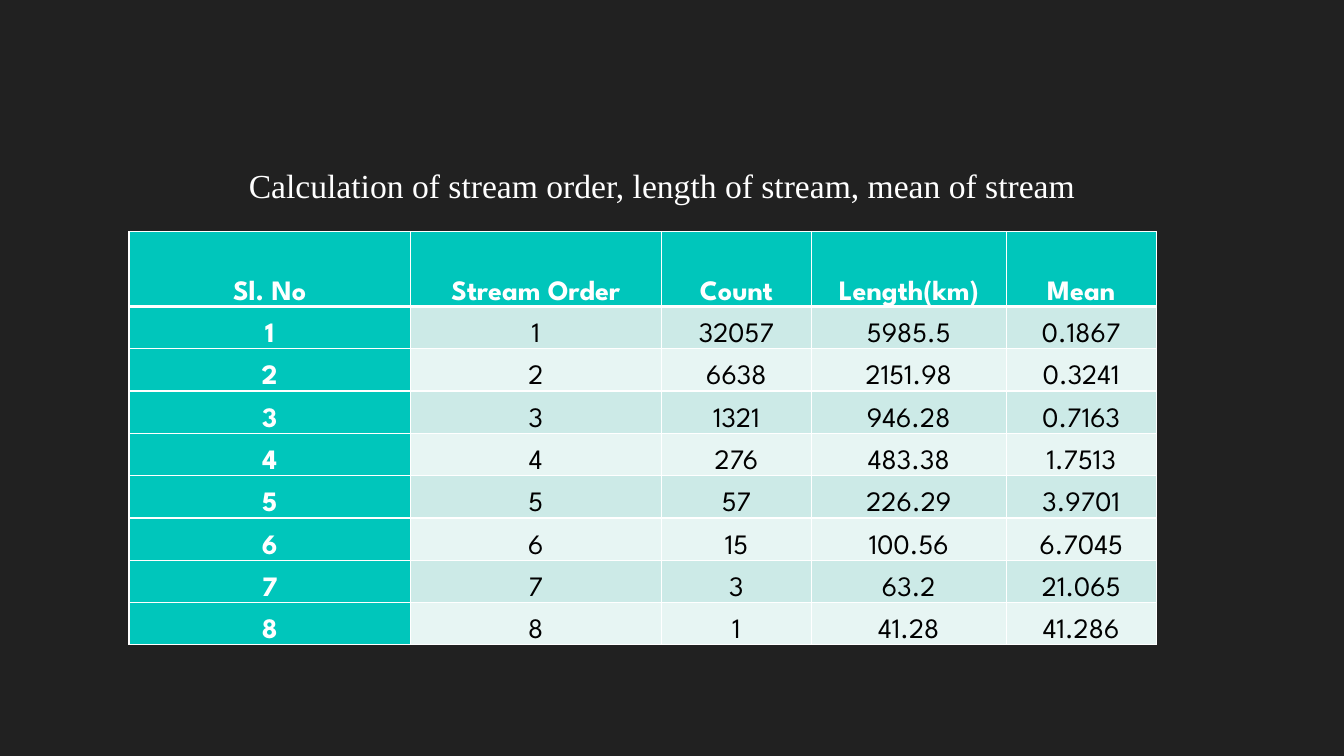
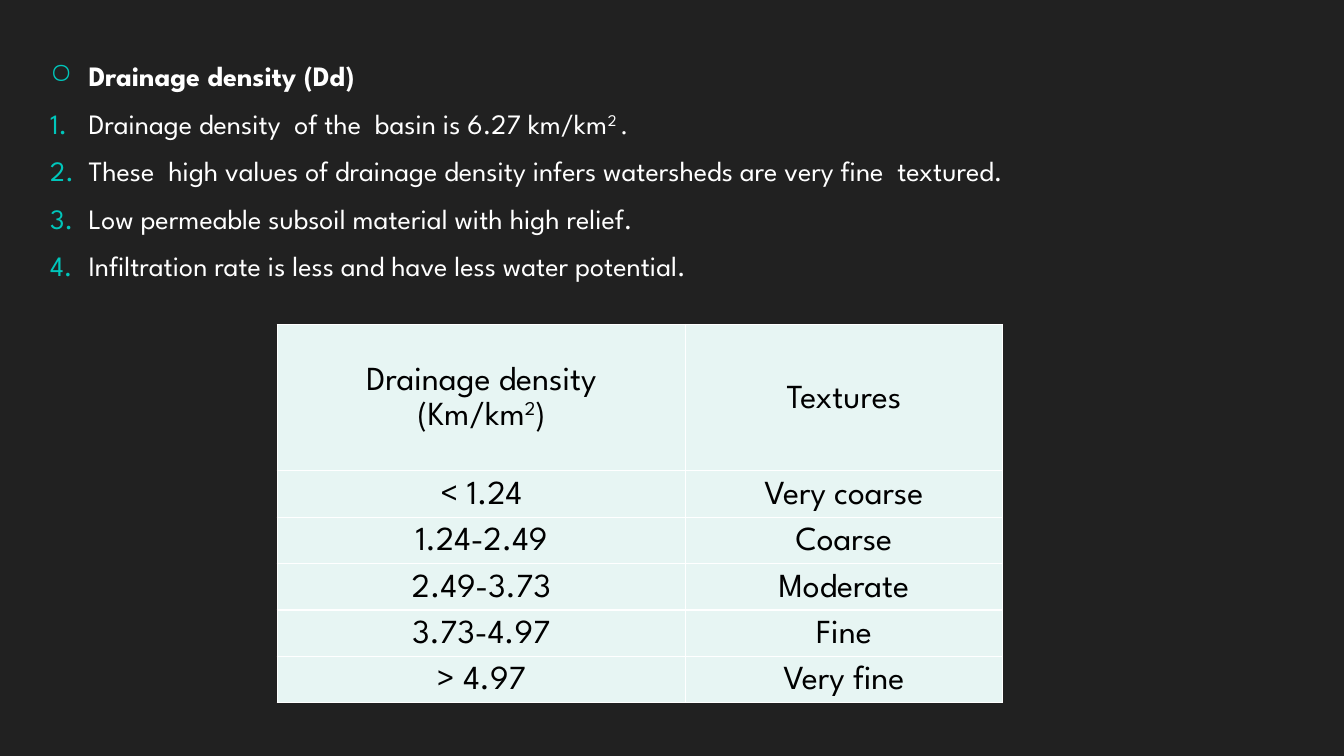
from dataclasses import dataclass
from typing import NamedTuple

from lxml import etree
from pptx import Presentation
from pptx.dml.color import RGBColor
from pptx.enum.text import MSO_ANCHOR, MSO_AUTO_SIZE, PP_ALIGN
from pptx.oxml.ns import qn
from pptx.util import Inches, Pt

CENTER = PP_ALIGN.CENTER
BOTTOM, MIDDLE = MSO_ANCHOR.BOTTOM, MSO_ANCHOR.MIDDLE
FIT_TEXT = MSO_AUTO_SIZE.SHAPE_TO_FIT_TEXT

# Shared look
DARK, TEAL, WHITE, BLACK = "212121", "00C6BB", "FFFFFF", "000000"
BAND, PALE = "CCEAE7", "E7F5F3"
SANS, SERIF = "League Spartan", "Times New Roman"
CELL_MARGINS = {
    "margin_left": Inches(0.07), "margin_right": Inches(0.07),
    "margin_top": 0, "margin_bottom": 0,
}
BLANK_LAYOUT = 6


class Piece(NamedTuple):
    """A stretch of text; raised is the superscript shift in percent."""
    text: str
    raised: int = 0
    font: str = ""


@dataclass(frozen=True)
class TextStyle:
    size: float
    color: str
    font: str = SANS
    bold: bool = False


@dataclass(frozen=True)
class CellStyle:
    text: TextStyle
    fill: str
    anchor: MSO_ANCHOR
    line_spacing: float = 1.0
    top: float = 1
    bottom: float = 1


@dataclass(frozen=True)
class Grid:
    left: float
    top: float
    columns: tuple[float, ...]
    header_height: float
    row_height: float


class Point(NamedTuple):
    pieces: list[Piece]
    bold: bool = False
    numbered: bool = True


def rgb(color: str) -> RGBColor:
    return RGBColor.from_string(color)


def write(paragraph, pieces: list[Piece], style: TextStyle) -> None:
    for piece in pieces:
        run = paragraph.add_run()
        run.text = piece.text
        formats = {"size": Pt(style.size), "bold": style.bold, "name": piece.font or style.font}
        for name, value in formats.items():
            setattr(run.font, name, value)
        run.font.color.rgb = rgb(style.color)
        if piece.raised:
            run.font._element.set("baseline", str(piece.raised * 1000))


def add_color(parent, tag: str, color: str) -> None:
    holder = etree.SubElement(parent, qn(tag))
    etree.SubElement(holder, qn("a:srgbClr"), val=color)


def add_bullet(paragraph, numbered: bool) -> None:
    properties = paragraph._p.get_or_add_pPr()
    indent = Inches(0.38)
    properties.set("marL", str(indent))
    properties.set("indent", str(-indent))
    add_color(properties, "a:buClr", TEAL)
    if numbered:
        etree.SubElement(properties, qn("a:buAutoNum"), type="arabicPeriod")
    else:
        etree.SubElement(properties, qn("a:buChar"), char="○")


def add_borders(cell, style: CellStyle) -> None:
    properties = cell._tc.get_or_add_tcPr()
    widths = {"a:lnL": 1, "a:lnR": 1, "a:lnT": style.top, "a:lnB": style.bottom}
    for tag, width in widths.items():
        line = etree.SubElement(properties, qn(tag), w=str(Pt(width)))
        add_color(line, "a:solidFill", WHITE)


def fill_cell(cell, lines: list[list[Piece]], style: CellStyle) -> None:
    for name, value in CELL_MARGINS.items():
        setattr(cell, name, value)
    cell.vertical_anchor = style.anchor
    add_borders(cell, style)
    cell.fill.solid()
    cell.fill.fore_color.rgb = rgb(style.fill)
    frame = cell.text_frame
    for index, pieces in enumerate(lines):
        paragraph = frame.add_paragraph() if index else frame.paragraphs[0]
        paragraph.alignment = CENTER
        paragraph.line_spacing = style.line_spacing
        write(paragraph, pieces, style.text)


def add_grid(slide, grid: Grid, row_count: int):
    height = grid.header_height + grid.row_height * (row_count - 1)
    table = slide.shapes.add_table(
        row_count, len(grid.columns), Inches(grid.left), Inches(grid.top),
        Inches(sum(grid.columns)), Inches(height)).table
    table.first_row = table.horz_banding = False
    for column, width in zip(table.columns, grid.columns):
        column.width = Inches(width)
    for index, row in enumerate(table.rows):
        row.height = Inches(grid.row_height if index else grid.header_height)
    return table


def add_text_frame(slide, left: float, top: float, width: float, height: float, wrap: bool):
    frame = slide.shapes.add_textbox(
        Inches(left), Inches(top), Inches(width), Inches(height)).text_frame
    frame.word_wrap = wrap
    frame.auto_size = FIT_TEXT
    return frame


# Slide 1: stream table
STREAM_GRID = Grid(1.28, 2.3, (2.79, 2.49, 1.49, 1.93, 1.49), 0.74, 0.42)
STREAM_HEADINGS = ("Sl. No", "Stream Order", "Count", "Length(km)", "Mean")
STREAMS = (
    ("32057", "5985.5", "0.1867"),
    ("6638", "2151.98", "0.3241"),
    ("1321", "946.28", "0.7163"),
    ("276", "483.38", "1.7513"),
    ("57", "226.29", "3.9701"),
    ("15", "100.56", "6.7045"),
    ("3", "63.2", "21.065"),
    ("1", "41.28", "41.286"),
)


def stream_style(row: int, column: int) -> CellStyle:
    is_label = row == 0 or column == 0
    fill = TEAL if is_label else BAND if row % 2 else PALE
    text = TextStyle(20, WHITE if is_label else BLACK, bold=is_label)
    return CellStyle(text, fill, BOTTOM, top=3 if row == 1 else 1, bottom=3 if row == 0 else 1)


def build_streams(slide) -> None:
    rows = [STREAM_HEADINGS]
    rows += [(str(order), str(order), *values) for order, values in enumerate(STREAMS, 1)]
    table = add_grid(slide, STREAM_GRID, len(rows))
    for r, row in enumerate(rows):
        for c, text in enumerate(row):
            fill_cell(table.cell(r, c), [[Piece(text)]], stream_style(r, c))
    caption = add_text_frame(slide, 2.37, 1.59, 8.47, 0.5, wrap=False)
    write(caption.paragraphs[0],
          [Piece("Calculation of stream order, length of stream, mean of stream")],
          TextStyle(24, WHITE, SERIF))


# Slide 2: drainage density
DENSITY_POINTS = (
    Point([Piece("Drainage density (Dd)")], bold=True, numbered=False),
    Point([Piece("Drainage density  of the  basin is 6.27 km/km"),
           Piece("2 ", 26), Piece(".", font=SERIF)]),
    Point([Piece("These  high values of drainage density infers watersheds "
                 "are very fine  textured.")]),
    Point([Piece("Low permeable subsoil material with high relief.")]),
    Point([Piece("Infiltration rate is less and have less water potential.")]),
)
TEXTURE_GRID = Grid(2.75, 3.22, (4.05, 3.14), 1.45, 0.46)
TEXTURE_HEADINGS = (
    [[Piece("Drainage density")], [Piece("(Km/km"), Piece("2", 30), Piece(")")]],
    [[Piece("Textures")]],
)
TEXTURES = (
    ("< 1.24", "Very coarse"),
    ("1.24-2.49", "Coarse"),
    ("2.49-3.73", "Moderate"),
    ("3.73-4.97", "Fine"),
    ("> 4.97", "Very fine"),
)
TEXTURE_STYLE = CellStyle(TextStyle(24, BLACK), PALE, MIDDLE, line_spacing=1.15)


def build_density(slide) -> None:
    frame = add_text_frame(slide, 0.4, 0.53, 12.46, 2.39, wrap=True)
    for index, point in enumerate(DENSITY_POINTS):
        paragraph = frame.add_paragraph() if index else frame.paragraphs[0]
        add_bullet(paragraph, point.numbered)
        spacing = {"line_spacing": Pt(24), "space_before": Pt(4 if index else 0),
                   "space_after": Pt(6)}
        for name, value in spacing.items():
            setattr(paragraph, name, value)
        write(paragraph, point.pieces, TextStyle(20, WHITE, bold=point.bold))

    rows = [TEXTURE_HEADINGS]
    rows += [tuple([[Piece(text)]] for text in row) for row in TEXTURES]
    table = add_grid(slide, TEXTURE_GRID, len(rows))
    for r, row in enumerate(rows):
        for c, lines in enumerate(row):
            fill_cell(table.cell(r, c), lines, TEXTURE_STYLE)


def main() -> None:
    deck = Presentation()
    deck.slide_width, deck.slide_height = Inches(13.33), Inches(7.5)
    backdrop = deck.slide_master.background.fill
    backdrop.solid()
    backdrop.fore_color.rgb = rgb(DARK)
    for build in (build_streams, build_density):
        build(deck.slides.add_slide(deck.slide_layouts[BLANK_LAYOUT]))
    deck.save("out.pptx")


if __name__ == "__main__":
    main()
